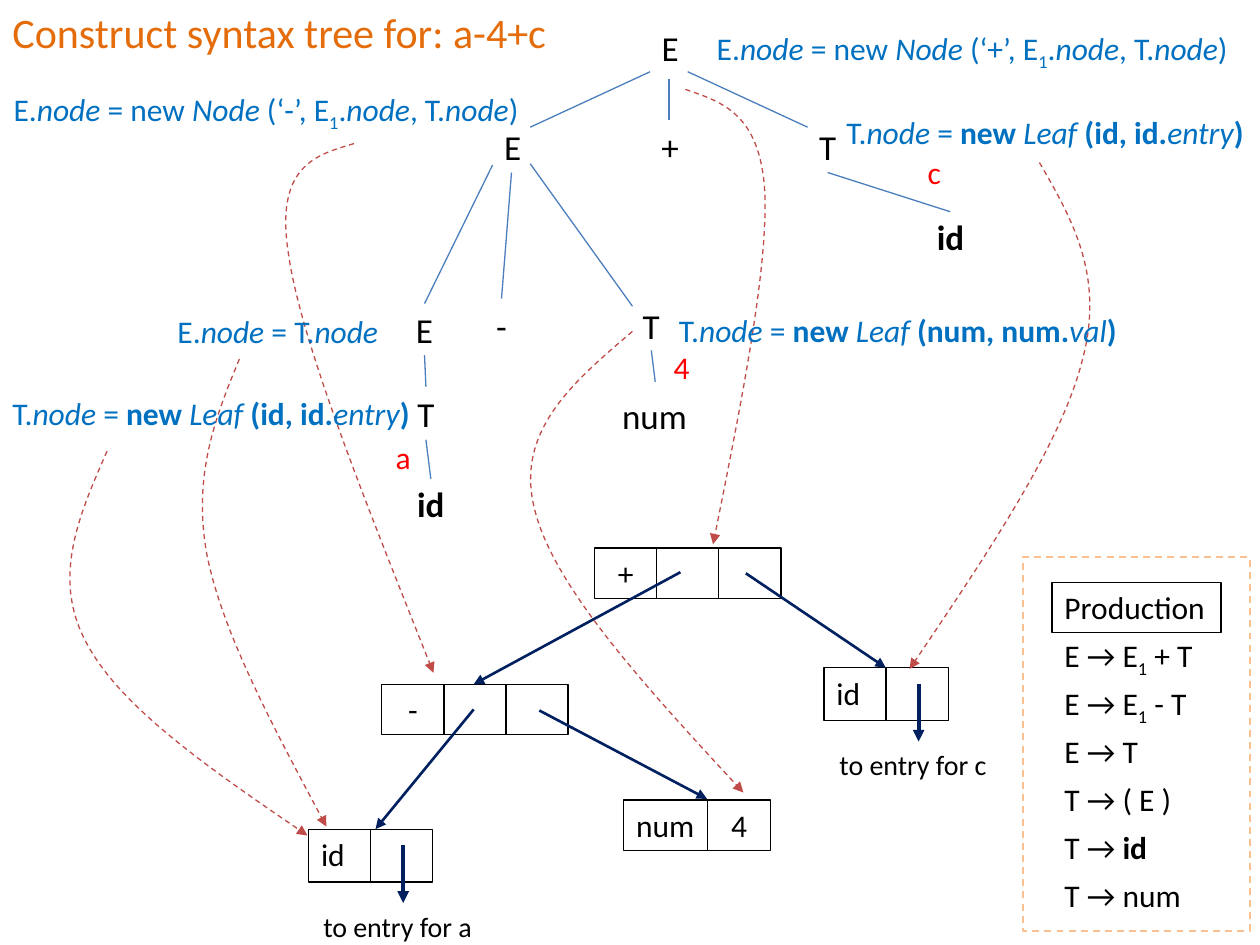
from itertools import accumulate

from lxml.etree import SubElement
from pptx import Presentation
from pptx.dml.color import RGBColor
from pptx.enum.dml import MSO_LINE
from pptx.enum.shapes import MSO_CONNECTOR, MSO_SHAPE
from pptx.enum.text import MSO_ANCHOR, PP_ALIGN
from pptx.oxml.ns import qn
from pptx.util import Pt

COLORS = {
    "title": "E46C0A", "rule": "0070C0", "value": "FF0000", "text": "000000",
    "branch": "4B7EBC", "pointer": "002060", "trace": "BF4C48", "panel": "FAC090",
}
LEFT, CENTER = PP_ALIGN.LEFT, PP_ALIGN.CENTER


def write(shape, markup, size=18, color="text", align=LEFT, anchor=MSO_ANCHOR.TOP):
    """Fill a shape with runs split by |, prefixed i: italic, b: bold, s: subscript."""
    frame = shape.text_frame
    frame.word_wrap = True
    frame.vertical_anchor = anchor
    frame.margin_right = Pt(0 if align == LEFT else 7.2)
    paragraph = frame.paragraphs[0]
    paragraph.alignment = align
    for part in markup.split("|"):
        style = part[0] if part[1:2] == ":" else ""
        run = paragraph.add_run()
        run.text = part[2:] if style else part
        run.font.name = "Calibri"
        run.font.size = Pt(size)
        run.font.color.rgb = RGBColor.from_string(COLORS[color])
        run.font.bold = style == "b"
        run.font.italic = style == "i"
        if style == "s":
            run.font._element.set("baseline", "-25000")


def style_line(shape, color, width, arrow=False, dashed=False):
    shape.line.color.rgb = RGBColor.from_string(COLORS[color])
    shape.line.width = Pt(width)
    if dashed:
        shape.line.dash_style = MSO_LINE.DASH
    properties = shape._element.spPr
    if arrow:
        SubElement(properties.find(qn("a:ln")), qn("a:tailEnd"), type="triangle")
    if properties.find(qn("a:effectLst")) is None:
        SubElement(properties, qn("a:effectLst"))


presentation = Presentation()
presentation.slide_width, presentation.slide_height = Pt(720), Pt(540)
slide = presentation.slides.add_slide(presentation.slide_layouts[6])
shapes = slide.shapes

# Parse tree nodes: text, centre x, centre y, width, height
nodes = [
    ("E", 383, 27.4, 30, 30),
    ("E", 293, 83.5, 30, 30), ("+", 383, 83.5, 30, 30), ("T", 473, 83.5, 30, 30),
    ("E", 242.6, 188.6, 30, 30), ("-", 286.6, 185.8, 30, 30), ("T", 372.2, 185.8, 30, 30),
    ("T", 243.4, 236.2, 30, 30), ("b:id", 246.2, 288, 47.5, 28.8),
    ("num", 374, 237.2, 96, 38), ("b:id", 543.2, 135.4, 54, 28.8),
]
for text, x, y, width, height in nodes:
    node = shapes.add_shape(MSO_SHAPE.OVAL, Pt(x - width / 2), Pt(y - height / 2),
                            Pt(width), Pt(height))
    node.shadow.inherit = False
    node.fill.background()
    node.line.fill.background()
    write(node, text, 20, align=CENTER, anchor=MSO_ANCHOR.MIDDLE)
    frame = node.text_frame
    frame.margin_left = frame.margin_right = frame.margin_top = frame.margin_bottom = 0

# Syntax tree records: left, top, height, cells of (text, width, alignment)
id_records = [(176.4, 473.8, "a"), (470.9, 381.6, "c")]
records = [
    (339.8, 313.2, 28.8, [("+", 35.5, CENTER), ("", 35.5, LEFT), ("", 35.5, LEFT)]),
    (218.2, 391, 28.8, [("-", 35.5, CENTER), ("", 35.5, LEFT), ("", 35.5, LEFT)]),
    (356.4, 457.2, 28.8, [("num", 48, LEFT), ("4", 36, CENTER)]),
]
records += [(left, top, 30.2, [("id", 35.5, LEFT), ("", 35.5, LEFT)])
            for left, top, name in id_records]
for left, top, height, cells in records:
    edges = accumulate((width for _, width, _ in cells), initial=left)
    for x, (text, width, align) in zip(edges, cells):
        cell = shapes.add_shape(MSO_SHAPE.RECTANGLE, Pt(x), Pt(top), Pt(width), Pt(height))
        cell.shadow.inherit = False
        cell.fill.background()
        style_line(cell, "text", 0.75)
        if text:
            write(cell, text, align=align)

# Tree branches and record pointers: from x, y, to x, y
branches = [
    (371.5, 41, 303, 72.7), (382.3, 68.4, 382.3, 45.4), (393, 41, 461.5, 72.7),
    (281.5, 94.3, 242.6, 173.5), (286.6, 170.6, 292.3, 98.6), (361.4, 175, 303, 93.6),
    (246.2, 273.6, 243.4, 251.3), (242.6, 203, 243.4, 221),
    (372.2, 200.2, 374.4, 218.2), (473, 98.6, 543, 121),
]
pointers = [
    (388.8, 327, 270.7, 391), (426.2, 327.6, 506.2, 381.6),
    (270.7, 405.4, 214.6, 473.8), (308.2, 406, 404, 456.5),
]
entries = [(left + 54, top + 9, left + 54, top + 42.2) for left, top, name in id_records]
for lines, color, width, arrow in [(branches, "branch", 0.75, False),
                                   (pointers, "pointer", 1.5, True),
                                   (entries, "pointer", 2.25, True)]:
    for ends in lines:
        connector = shapes.add_connector(MSO_CONNECTOR.STRAIGHT, *map(Pt, ends))
        style_line(connector, color, width, arrow)

# Dashed traces from rules to records: start, then two Bezier segments
traces = [
    [(61.2, 257.8), (45.4, 293.8), (29.5, 329.8), (49, 366.5),
     (67.7, 403.2), (121.7, 440.6), (175.7, 477.4)],
    [(136.8, 205.2), (123.1, 238.3), (110.2, 271.4), (118.1, 316.1),
     (126.7, 360.7), (157, 416.9), (186.5, 472.3)],
    [(202.3, 82.1), (180, 88.6), (157, 95), (164.9, 145.4),
     (172.1, 195.8), (210.2, 290.2), (247.7, 384.5)],
    [(361.4, 189.4), (327.6, 218.2), (294.5, 246.2), (305.3, 290.2),
     (315.4, 334.1), (370.1, 393.8), (424.8, 452.9)],
    [(391.7, 51.1), (413.3, 58.3), (434.2, 65.5), (437, 108.7),
     (439.2, 151.9), (423.4, 231.8), (407.5, 311)],
    [(594, 92.9), (612.7, 125.3), (631.4, 157.7), (618.5, 205.9),
     (606.2, 254.2), (563, 318.2), (519.8, 382.3)],
]
for points in traces:
    start, *rest = [(Pt(x), Pt(y)) for x, y in points]
    builder = shapes.build_freeform(*start)
    builder.add_line_segments(rest, close=False)
    trace = builder.convert_to_shape()
    trace.shadow.inherit = False
    trace.fill.background()
    style_line(trace, "trace", 0.75, arrow=True, dashed=True)
    # Merge each three straight segments into one cubic curve
    segments = list(trace._element.iter(qn("a:lnTo")))
    outline = segments[0].getparent()
    for first in range(0, len(segments), 3):
        curve = SubElement(outline, qn("a:cubicBezTo"))
        for segment in segments[first:first + 3]:
            curve.append(segment[0])
            outline.remove(segment)

# Title, semantic rules, token values and entry captions
leaf_id = "T.|i:node |= |b:new |i:Leaf|b: (id, id.|i:entry|b:)"
leaf_num = "T.|i:node |= |b:new |i:Leaf|b: (num, num.|i:val|b:)"
new_node = "E.|i:node |= new |i:Node| (‘{}’, E|s:1|.|i:node|, T.|i:node|)"
labels = [
    ("Construct syntax tree for: a-4+c", 0, 0, 330.5, 36, 24, "title", LEFT),
    (new_node.format("+"), 402.5, 13, 311.8, 28.8, 18, "rule", LEFT),
    (new_node.format("-"), 0.7, 48.2, 311.8, 28.8, 18, "rule", LEFT),
    (leaf_id, 476.6, 61.2, 254.2, 28.8, 18, "rule", LEFT),
    (leaf_num, 380.9, 174.2, 303, 28.8, 18, "rule", LEFT),
    ("E.|i:node |= T.|i:node", 94.3, 175, 133.2, 28.8, 18, "rule", LEFT),
    (leaf_id, 0, 221.8, 254.2, 28.8, 18, "rule", LEFT),
    ("c", 504, 84.2, 59.8, 28.8, 18, "value", CENTER),
    ("4", 360, 195.1, 59, 28.8, 18, "value", CENTER),
    ("a", 184.3, 247, 92.2, 28.8, 18, "value", CENTER),
]
labels += [(f"to entry for {name}", left - 12.2, top + 42.2, 126, 26.6, 16, "text", CENTER)
           for left, top, name in id_records]

# Production list
productions = ["Production", "E → E|s:1| + T", "E → E|s:1| - T", "E → T",
               "T → ( E )", "T → |b:id", "T → num"]
labels += [(text, 601.2, 332.7 + 27.36 * row, 96.5, 28.8, 18, "text", LEFT)
           for row, text in enumerate(productions)]

for text, left, top, width, height, size, color, align in labels:
    label = shapes.add_textbox(Pt(left), Pt(top), Pt(width), Pt(height))
    write(label, text, size, color, align)
    if text == "Production":
        style_line(label, "text", 0.75)

# Dashed panel around the productions
panel = shapes.add_shape(MSO_SHAPE.RECTANGLE, Pt(584.6), Pt(318.2), Pt(129.6), Pt(213.8))
panel.shadow.inherit = False
panel.fill.background()
style_line(panel, "panel", 1, dashed=True)

presentation.save("out.pptx")
